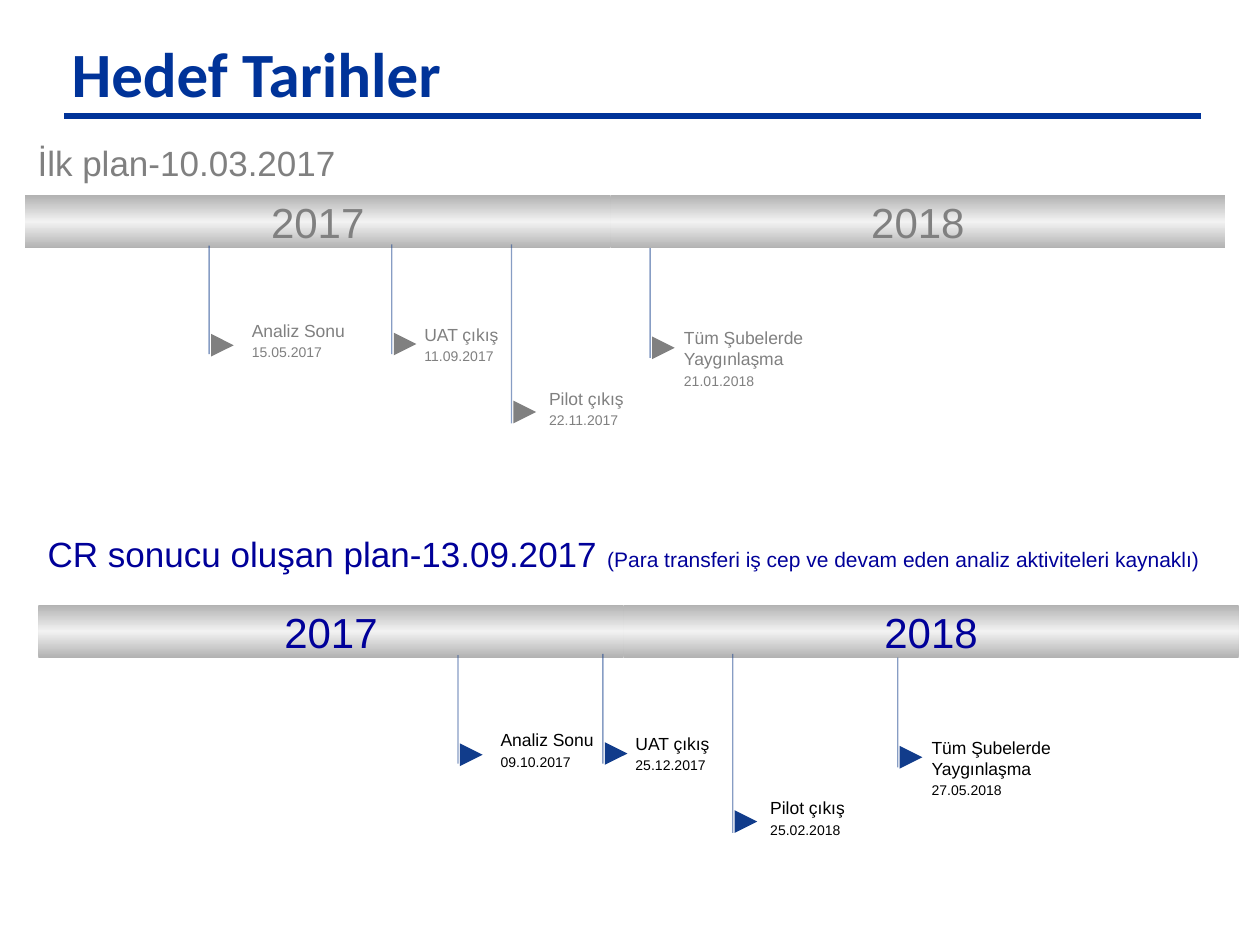
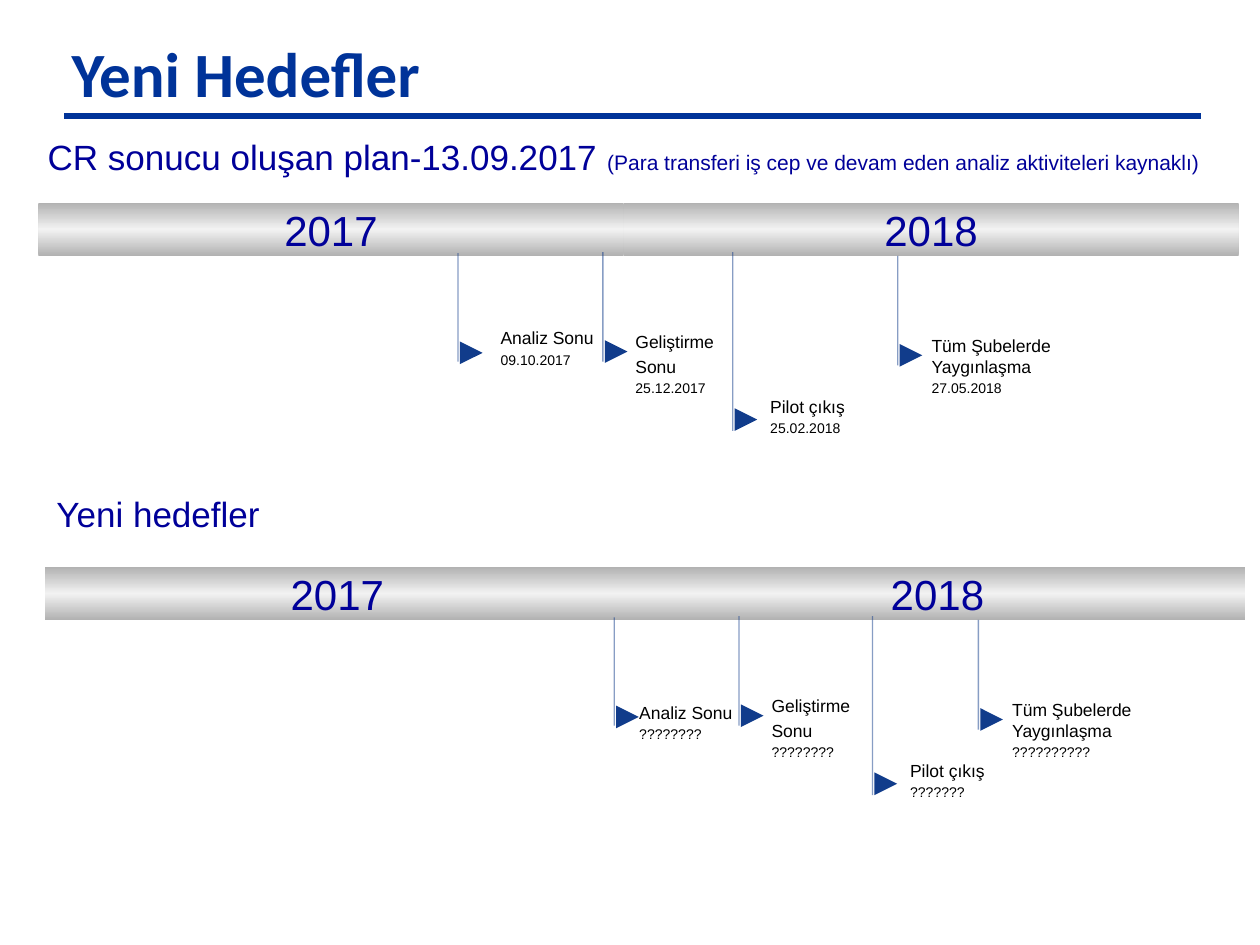
from dataclasses import dataclass, replace

from lxml.etree import SubElement
from pptx import Presentation
from pptx.dml.color import RGBColor
from pptx.enum.shapes import MSO_CONNECTOR, MSO_SHAPE
from pptx.enum.text import MSO_ANCHOR, MSO_AUTO_SIZE, PP_ALIGN
from pptx.oxml.ns import qn
from pptx.util import Inches, Pt


@dataclass(frozen=True)
class Theme:
    """Colours, fonts and type sizes shared by the slides."""
    title_blue: str = "003399"
    plan_blue: str = "000099"
    marker_blue: str = "113C8B"
    past_grey: str = "808080"
    black: str = "000000"
    band_edge: str = "B2B2B2"
    band_middle: str = "F2F2F2"
    title_font: str = "Calibri"
    body_font: str = "Arial"
    title_size: int = 36
    year_size: int = 24
    heading_size: int = 20
    remark_size: int = 12
    label_size: int = 10
    date_size: int = 8


@dataclass(frozen=True)
class Milestone:
    """Grid offsets of one milestone's parts from the band top and its stem."""
    stem_top: float
    stem_bottom: float
    marker_top: float
    label_left: float
    label_top: float
    label_width: float
    label_height: float


@dataclass(frozen=True)
class Plan:
    """One timeline: heading, band position, stem offsets and label lines."""
    heading: str
    left: float
    top: float
    heading_left: float
    heading_rise: float
    stems: tuple
    names: tuple
    dates: tuple
    remark: str = ""
    heading_color: str = Theme.plan_blue
    label_color: str = Theme.black
    marker_color: str = Theme.marker_blue
    first_label_shift: tuple = (0, 0)


THEME = Theme()
CELL = 0.1
COLUMNS, ROWS = 100, 75
MARKER = 1.8
BAND_HEIGHT = 4.2
YEARS = (("2017", 46.45), ("2018", 48.8))
MILESTONES = (
    Milestone(4.0, 12.6, 11.0, 2.4, 9.4, 9.7, 4.3),
    Milestone(3.9, 12.6, 10.9, 1.6, 9.7, 8.5, 4.3),
    Milestone(3.9, 18.1, 16.3, 2.0, 14.8, 12.6, 4.3),
    Milestone(4.2, 12.9, 11.2, 1.7, 10.0, 13.2, 6.0),
)
ROLLOUT = "Tüm Şubelerde Yaygınlaşma"
TEST_NAMES = (("Analiz Sonu",), ("UAT çıkış",), ("Pilot çıkış",), (ROLLOUT,))
BUILD_NAMES = (("Analiz Sonu",), ("Geliştirme", "Sonu"), ("Pilot çıkış",), (ROLLOUT,))

FIRST_PLAN = Plan(
    "İlk plan-10.03.2017", 2, 15.5, 2, 4.8, (14.6, 29.1, 38.6, 49.6), TEST_NAMES,
    ("15.05.2017", "11.09.2017", "22.11.2017", "21.01.2018"),
    heading_color=THEME.past_grey, label_color=THEME.past_grey,
    marker_color=THEME.past_grey)
CHANGED_PLAN = Plan(
    "CR sonucu oluşan plan-13.09.2017 ", 3.05, 48, 2.8, 6.2,
    (33.3, 44.8, 55.1, 68.2), TEST_NAMES,
    ("09.10.2017", "25.12.2017", "25.02.2018", "27.05.2018"),
    remark="(Para transferi iş cep ve devam eden analiz aktiviteleri kaynaklı)")
NEW_PLAN = Plan(
    "Yeni hedefler", 3.55, 45, 3.5, 6.4, (45.2, 55.1, 65.7, 74.1), BUILD_NAMES,
    ("????????", "????????", "???????", "??????????"),
    first_label_shift=(-1.4, 0.8))


def grid(*cells):
    """Turn grid cells into lengths."""
    return [Inches(cell * CELL) for cell in cells]


def add_run(paragraph, text, size, color, font=THEME.body_font, bold=False):
    """Add one styled run."""
    run = paragraph.add_run()
    run.text = text
    run.font.size = Pt(size)
    run.font.name = font
    run.font.bold = bold
    run.font.color.rgb = RGBColor.from_string(color)


def space_before(paragraph):
    """Put a fifth of a line above the paragraph."""
    spacing = SubElement(paragraph._p.get_or_add_pPr(), qn("a:spcBef"))
    SubElement(spacing, qn("a:spcPct"), val="20000")


def add_text(slide, box, lines):
    """Add a wrapping text box whose lines are lists of (text, size, color)."""
    frame = slide.shapes.add_textbox(*grid(*box)).text_frame
    frame.word_wrap = True
    frame.auto_size = MSO_AUTO_SIZE.SHAPE_TO_FIT_TEXT
    for number, runs in enumerate(lines):
        paragraph = frame.add_paragraph() if number else frame.paragraphs[0]
        space_before(paragraph)
        for run in runs:
            add_run(paragraph, *run)


def add_line(slide, ends, color, width, opacity=100):
    """Add a straight line without shadow."""
    line = slide.shapes.add_connector(MSO_CONNECTOR.STRAIGHT, *grid(*ends))
    line.line.width = Pt(width)
    line.line.color.rgb = RGBColor.from_string(color)
    properties = line._element.spPr
    if opacity < 100:
        tint = next(properties.iter(qn("a:srgbClr")))
        SubElement(tint, qn("a:alpha"), val=str(opacity * 1000))
    SubElement(properties, qn("a:effectLst"))


def add_title(slide, text):
    """Add the slide title and the rule beneath it."""
    add_line(slide, (5.1, 9.2, 95.3, 9.2), THEME.title_blue, 3)
    frame = slide.shapes.add_textbox(*grid(4.7, 2.1, 95.3, 7.1)).text_frame
    frame.word_wrap = True
    frame.vertical_anchor = MSO_ANCHOR.BOTTOM
    add_run(frame.paragraphs[0], text, THEME.title_size, THEME.title_blue,
            THEME.title_font, True)


def add_year(slide, box, year, color):
    """Add one year of the band with a metallic gradient."""
    band = slide.shapes.add_shape(MSO_SHAPE.RECTANGLE, *grid(*box))
    gradient = SubElement(band._element.spPr, qn("a:gradFill"))
    stops = SubElement(gradient, qn("a:gsLst"))
    shades = (THEME.band_edge, THEME.band_middle, THEME.band_edge)
    for number, shade in enumerate(shades):
        stop = SubElement(stops, qn("a:gs"), pos=str(number * 50000))
        SubElement(stop, qn("a:srgbClr"), val=shade)
    SubElement(gradient, qn("a:lin"), ang="5400000", scaled="1")
    band.line.fill.background()
    band.shadow.inherit = False
    band.text_frame.vertical_anchor = MSO_ANCHOR.MIDDLE
    paragraph = band.text_frame.paragraphs[0]
    paragraph.alignment = PP_ALIGN.CENTER
    space_before(paragraph)
    add_run(paragraph, year, THEME.year_size, color)


def add_milestone(slide, x, y, milestone, plan, names, date, shift):
    """Hang a stem, a marker and a dated label from the band at x, y."""
    add_line(slide, (x, y + milestone.stem_top, x, y + milestone.stem_bottom),
             THEME.marker_blue, 0.75, 50)
    marker = slide.shapes.add_shape(
        MSO_SHAPE.FLOWCHART_MERGE,
        *grid(x + 0.15, y + milestone.marker_top, MARKER, MARKER))
    marker.rotation = 270
    marker.fill.solid()
    marker.fill.fore_color.rgb = RGBColor.from_string(plan.marker_color)
    marker.line.fill.background()
    marker.shadow.inherit = False
    lines = [[(name, THEME.label_size, plan.label_color)] for name in names]
    lines.append([(date, THEME.date_size, plan.label_color)])
    extra_height = 2 * (len(names) - 1)
    add_text(slide, (x + milestone.label_left + shift[0],
                     y + milestone.label_top + shift[1],
                     milestone.label_width,
                     milestone.label_height + extra_height), lines)


def add_plan(slide, plan):
    """Add a heading, a two-year band and its milestones."""
    heading = [(plan.heading, THEME.heading_size, plan.heading_color)]
    if plan.remark:
        heading.append((plan.remark, THEME.remark_size, plan.heading_color))
    add_text(slide, (plan.heading_left, plan.top - plan.heading_rise, 95.6, 4.4),
             [heading])
    left = plan.left
    for year, width in YEARS:
        add_year(slide, (left, plan.top, width, BAND_HEIGHT), year,
                 plan.heading_color)
        left += width
    shifts = (plan.first_label_shift,) + ((0, 0),) * (len(MILESTONES) - 1)
    for stem, milestone, names, date, shift in zip(
            plan.stems, MILESTONES, plan.names, plan.dates, shifts):
        add_milestone(slide, plan.left + stem, plan.top, milestone, plan,
                      names, date, shift)


def add_slide(deck, title, plans):
    """Add one slide of stacked plans."""
    slide = deck.slides.add_slide(deck.slide_layouts[6])
    add_title(slide, title)
    for plan in plans:
        add_plan(slide, plan)


def main():
    """Build and save the deck."""
    deck = Presentation()
    deck.slide_width, deck.slide_height = grid(COLUMNS, ROWS)
    current_plan = replace(CHANGED_PLAN, top=16.1, heading_rise=5.8,
                           names=BUILD_NAMES)
    add_slide(deck, "Hedef Tarihler", (FIRST_PLAN, CHANGED_PLAN))
    add_slide(deck, "Yeni Hedefler", (current_plan, NEW_PLAN))
    deck.save("out.pptx")


if __name__ == "__main__":
    main()
